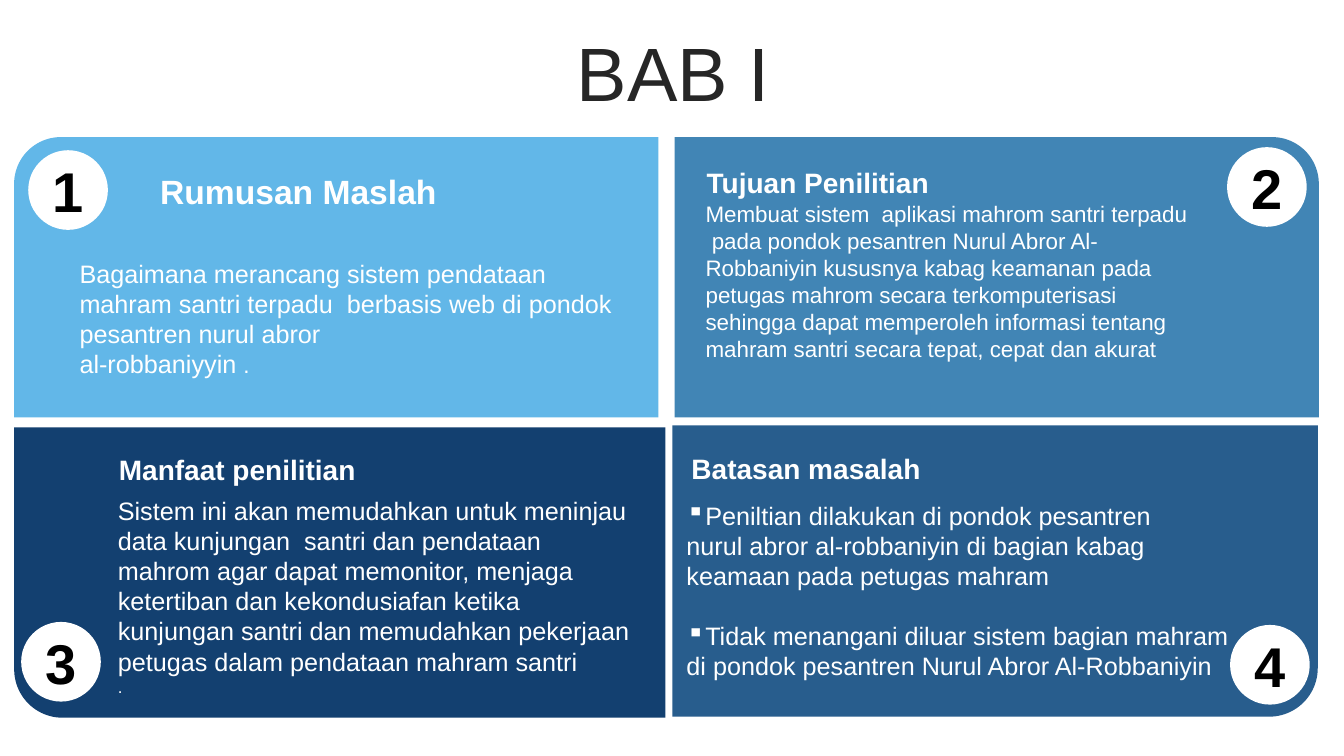
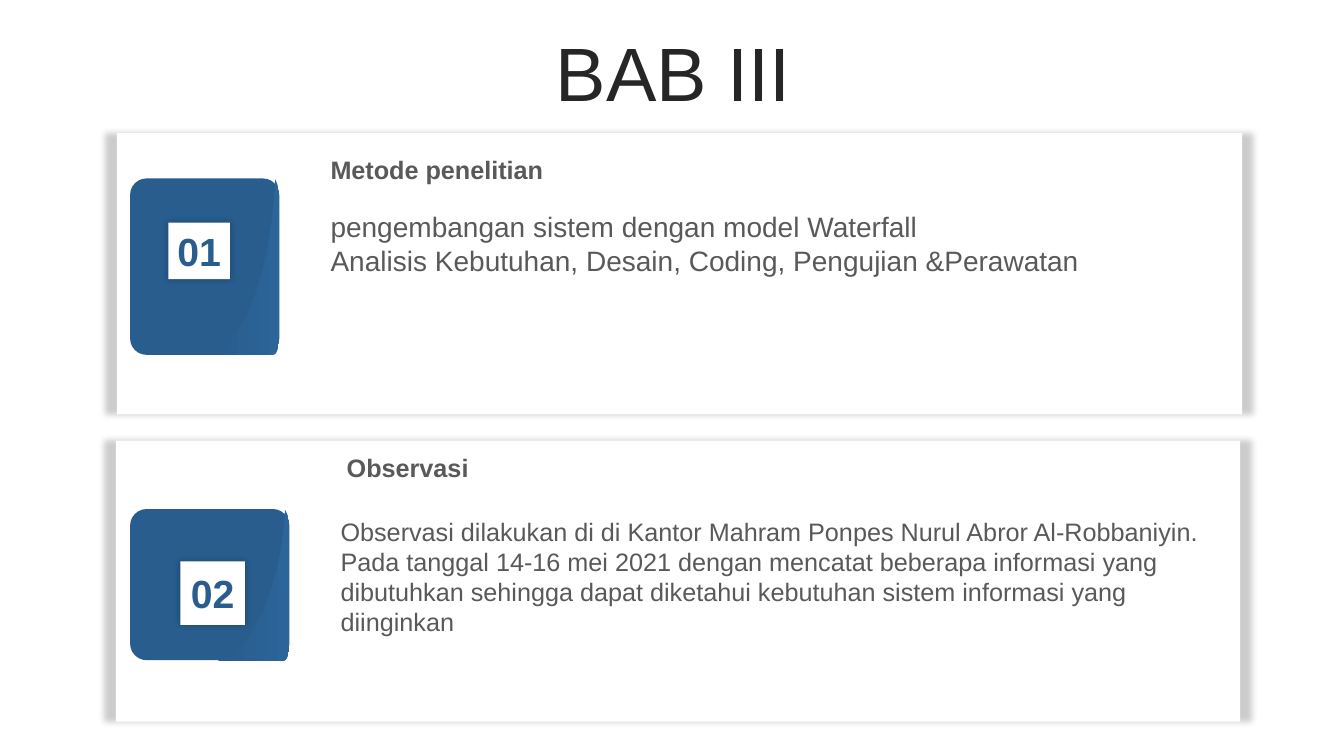
from lxml import etree
from pptx import Presentation
from pptx import util as u
from pptx.dml.color import RGBColor
from pptx.enum import shapes as sh, text as tx
from pptx.oxml import ns

FONT = "Arial"
WHITE = RGBColor(0xFF, 0xFF, 0xFF)
BLACK = RGBColor(0x00, 0x00, 0x00)
INK = RGBColor(0x26, 0x26, 0x26)
GREY = RGBColor(0x59, 0x59, 0x59)
SKY = RGBColor(0x62, 0xB7, 0xE8)
STEEL = RGBColor(0x41, 0x85, 0xB5)
NAVY = RGBColor(0x13, 0x40, 0x70)
BLUE = RGBColor(0x28, 0x5D, 0x8D)
LIGHT = RGBColor(0x2C, 0x65, 0x9A)

KIND = sh.MSO_SHAPE
CENTER = tx.PP_ALIGN.CENTER
MIDDLE = tx.MSO_ANCHOR.MIDDLE

# Fold on a tile, as fractions of its box: a start, then lines and curves
FOLD = [
    [(0.94, 0)],
    [(0.97, 0.02), (1, 0.06), (1, 0.1)],
    [(1, 0.89)],
    [(1, 0.95), (0.97, 1), (0.91, 1)],
    [(0, 1)],
    [(0.49, 0.94), (0.88, 0.52), (0.94, 0)],
]


# Text
def write(frame, lines, size=18, color=WHITE, bold=False, align=None,
          anchor=None, inset=None, bullets=(), after=0):
    """Fill a frame; a line is a string or a list of (text, size) runs."""
    frame.word_wrap = True
    frame.auto_size = tx.MSO_AUTO_SIZE.NONE
    if anchor is not None:
        frame.vertical_anchor = anchor
    if inset is not None:
        frame.margin_left = frame.margin_right = u.Inches(inset)
        frame.margin_top = frame.margin_bottom = u.Inches(inset)
    for i, line in enumerate(lines):
        para = frame.paragraphs[0] if i == 0 else frame.add_paragraph()
        if align is not None:
            para.alignment = align
        runs = [(line, size)] if isinstance(line, str) else line
        for words, points in runs:
            run = para.add_run()
            run.text = words
            font = run.font
            font.name, font.size, font.bold = FONT, u.Pt(points), bold
            font.color.rgb = color
        if i in bullets:
            mark(para)
        if after and i == 0:
            para.space_after = u.Pt(after)


def mark(para):
    props = para._p.get_or_add_pPr()
    props.set("marL", "0")
    props.set("indent", "0")
    etree.SubElement(props, ns.qn("a:buChar")).set("char", "▪")


def label(slide, box, *lines, **style):
    area = slide.shapes.add_textbox(*map(u.Inches, box))
    write(area.text_frame, lines, **style)


def title(slide, words):
    head = slide.shapes.title
    head.left, head.top, head.width, head.height = map(
        u.Inches, (0.35, 0.37, 12.66, 0.79))
    write(head.text_frame, [words], size=54, color=INK,
          align=CENTER, anchor=MIDDLE)
    para = head.text_frame.paragraphs[0]
    para.line_spacing, para.space_before = 0.9, u.Pt(10)


# Shapes
def block(slide, kind, box, fill, flip=False, turn=0):
    shape = slide.shapes.add_shape(kind, *map(u.Inches, box))
    shape.shadow.inherit = False
    shape.fill.solid()
    shape.fill.fore_color.rgb = fill
    shape.line.fill.background()
    shape.rotation = turn
    if flip:
        shape._element.spPr.find(ns.qn("a:xfrm")).set("flipH", "1")
    return shape


def shade(shape, alpha):
    """Add a soft shadow, a little wider than the shape."""
    effects = shape._element.spPr.find(ns.qn("a:effectLst"))
    glow = etree.SubElement(effects, ns.qn("a:outerShdw"), blurRad="63500",
                            sx="102000", algn="ctr", rotWithShape="0")
    tint = etree.SubElement(glow, ns.qn("a:srgbClr"), val="000000")
    etree.SubElement(tint, ns.qn("a:alpha"), val=str(alpha * 1000))


def badge(slide, left, top, number):
    disc = block(slide, KIND.OVAL, (left, top, 0.79, 0.79), WHITE)
    write(disc.text_frame, [number], size=40, color=BLACK, bold=True,
          align=CENTER, anchor=MIDDLE, inset=0)


def trace(steps, count=12):
    """Turn lines and cubic curves into a list of points."""
    points = list(steps[0])
    for step in steps[1:]:
        if len(step) == 1:
            points += step
            continue
        curve = [points[-1]] + step
        for i in range(1, count + 1):
            t = i / count
            parts = ((1 - t) ** 3, 3 * t * (1 - t) ** 2,
                     3 * t * t * (1 - t), t ** 3)
            points.append(tuple(sum(w * p[axis] for w, p in zip(parts, curve))
                                for axis in (0, 1)))
    return points


def fold(slide, box):
    left, top, width, height = box
    points = [(u.Inches(left + x * width), u.Inches(top + y * height))
              for x, y in trace(FOLD)]
    pen = slide.shapes.build_freeform(*points[0])
    pen.add_line_segments(points[1:], close=True)
    shape = pen.convert_to_shape()
    shape.shadow.inherit = False
    shape.line.fill.background()
    shape.fill.gradient()
    shape.fill.gradient_angle = 180
    for stop, color, place in zip(shape.fill.gradient_stops,
                                  (LIGHT, BLUE), (0, 0.94)):
        stop.color.rgb, stop.position = color, place


def card(slide, panel, tile, flap, plate, number):
    shade(block(slide, KIND.RECTANGLE, panel, WHITE), 20)
    back = block(slide, KIND.ROUNDED_RECTANGLE, tile, BLUE)
    back.adjustments[0] = 0.11
    fold(slide, flap)
    front = block(slide, KIND.RECTANGLE, plate, WHITE)
    shade(front, 22)
    write(front.text_frame, [number], size=28, color=BLUE, bold=True,
          align=CENTER, anchor=MIDDLE, inset=0)


# Slides
def goals(slide):
    title(slide, "BAB I")
    for box, fill, flip, turn in (
            ((6.69, 1.36, 6.39, 2.78), STEEL, False, 0),
            ((0.14, 4.24, 6.46, 2.88), NAVY, False, 180),
            ((0.14, 1.36, 6.39, 2.78), SKY, True, 0),
            ((6.67, 4.22, 6.4, 2.89), BLUE, True, 180)):
        block(slide, KIND.ROUND_1_RECTANGLE, box, fill, flip, turn)
    for left, top, number in ((0.28, 1.49, "1"), (12.17, 1.46, "2"),
                              (0.21, 6.17, "3"), (12.2, 6.2, "4")):
        badge(slide, left, top, number)

    # Headings
    for box, words, size in (
            ((1.49, 1.65, 3.29, 0.74), "Rumusan Maslah", 24),
            ((6.91, 1.59, 5.02, 0.44), "Tujuan Penilitian", 20),
            ((1.08, 4.44, 5.28, 0.45), "Manfaat penilitian", 20),
            ((6.76, 4.43, 5.6, 0.34), "Batasan masalah", 20)):
        label(slide, box, words, size=size, bold=True)

    # Body text
    label(slide, (0.69, 2.51, 5.69, 1.31),
          "Bagaimana merancang sistem pendataan mahram santri terpadu  "
          "berbasis web di pondok pesantren nurul abror",
          [("al-robbaniyyin ", 18), (".", 16)])
    label(slide, (6.9, 1.94, 5.03, 1.72),
          "Membuat sistem  aplikasi mahrom santri terpadu  pada pondok "
          "pesantren Nurul Abror Al-Robbaniyin kususnya kabag keamanan pada "
          "petugas mahrom secara terkomputerisasi sehingga dapat memperoleh "
          "informasi tentang mahram santri secara tepat, cepat dan akurat",
          size=16)
    label(slide, (1.07, 4.86, 5.29, 2.12),
          "Sistem ini akan memudahkan untuk meninjau data kunjungan  santri "
          "dan pendataan mahrom agar dapat memonitor, menjaga ketertiban dan "
          "kekondusiafan ketika kunjungan santri dan memudahkan pekerjaan "
          "petugas dalam pendataan mahram santri",
          [(".", 12)])
    label(slide, (6.71, 4.91, 5.62, 2.12),
          "Peniltian dilakukan di pondok pesantren    nurul abror "
          "al-robbaniyin di bagian kabag keamaan pada petugas mahram",
          "Tidak menangani diluar sistem bagian mahram",
          "di pondok pesantren Nurul Abror Al-Robbaniyin",
          bullets=(0, 1), after=21)


def method(slide):
    title(slide, "BAB III")
    card(slide, (1.16, 1.32, 11.16, 2.79), (1.29, 1.77, 1.48, 1.75),
         (2.1, 1.78, 0.67, 1.74), (1.67, 2.21, 0.61, 0.56), "01")
    label(slide, (3.18, 1.48, 8.63, 0.73), "Metode penelitian",
          color=GREY, bold=True)
    label(slide, (3.18, 2.03, 8.63, 1.77),
          "pengembangan sistem dengan model Waterfall",
          "Analisis Kebutuhan, Desain, Coding, Pengujian &Perawatan",
          size=20, color=GREY)

    card(slide, (1.15, 4.37, 11.15, 2.79), (1.29, 5.05, 1.58, 1.5),
         (2.16, 5.06, 0.71, 1.5), (1.79, 5.57, 0.64, 0.63), "02")
    label(slide, (3.34, 4.44, 8.45, 0.53), "Observasi",
          color=GREY, bold=True)
    label(slide, (3.28, 5.07, 9.07, 2.22),
          "Observasi dilakukan di di Kantor Mahram Ponpes Nurul Abror "
          "Al-Robbaniyin. Pada tanggal 14-16 mei 2021 dengan mencatat "
          "beberapa informasi yang dibutuhkan sehingga dapat diketahui "
          "kebutuhan sistem informasi yang diinginkan",
          color=GREY)


def main():
    deck = Presentation()
    deck.slide_width, deck.slide_height = u.Inches(13.33), u.Inches(7.5)
    for build in (goals, method):
        build(deck.slides.add_slide(deck.slide_layouts[5]))
    deck.save("out.pptx")


if __name__ == "__main__":
    main()
